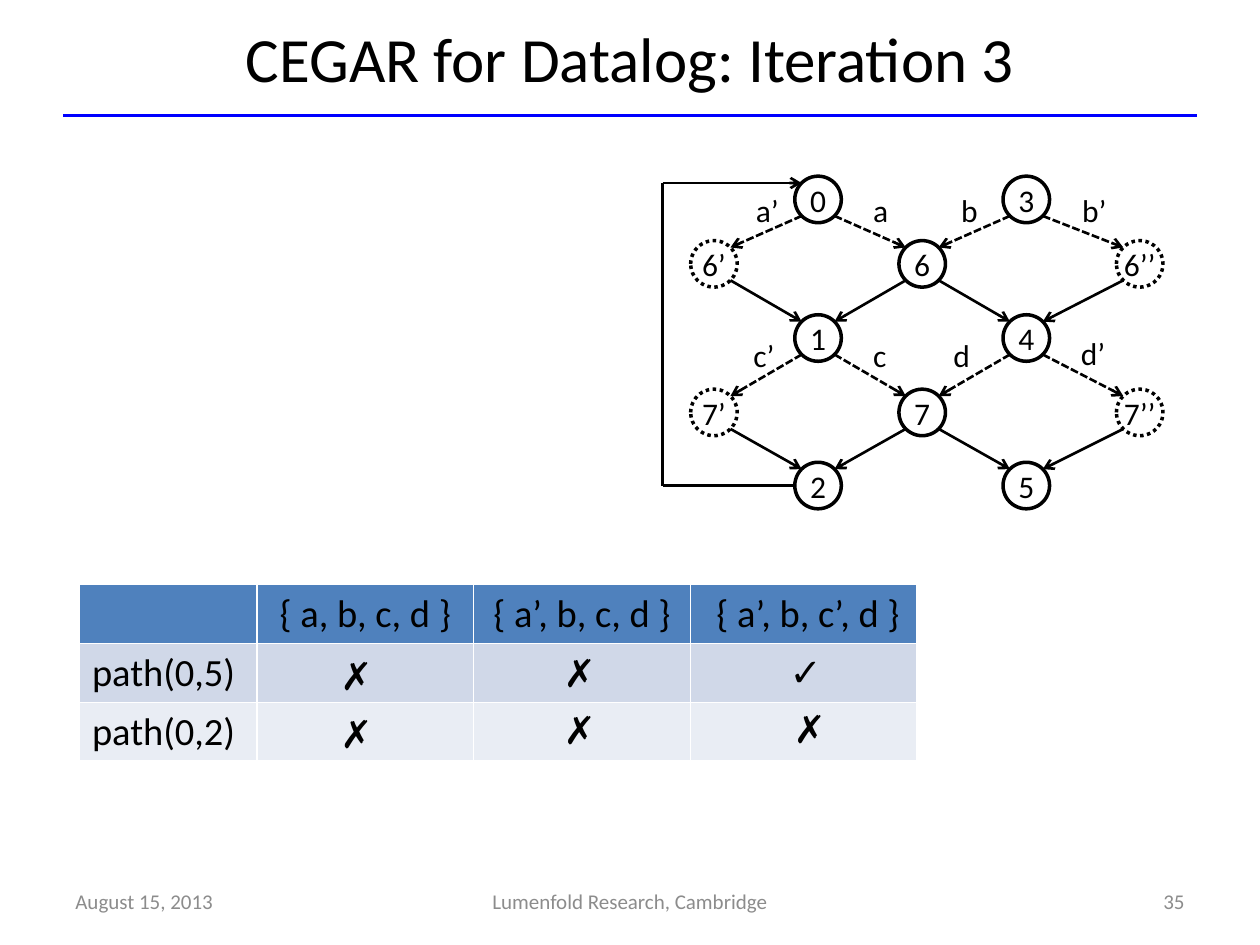
"""Build the slide on CEGAR for Datalog: a graph, a result table and a footer."""
from typing import NamedTuple

import pptx
import pptx.dml.color
import pptx.enum.dml
import pptx.enum.shapes
import pptx.enum.text
import pptx.oxml
import pptx.oxml.ns
import pptx.util

Pt = pptx.util.Pt
Align = pptx.enum.text.PP_ALIGN
Anchor = pptx.enum.text.MSO_ANCHOR
Dash = pptx.enum.dml.MSO_LINE
Shape = pptx.enum.shapes.MSO_SHAPE

BLACK, WHITE, GREY, BLUE = "000000", "FFFFFF", "8C8C8C", "0000FF"
COLS = (408, 467.5, 527, 586.5, 651.3)
ROWS = (114, 150.8, 193.2, 235.7, 277.5)
DIAMETER = 26.6
CORNER = DIAMETER / 2 * 0.707


class Node(NamedTuple):
    name: str
    col: int
    row: int
    dotted: bool = False

    @property
    def x(self) -> float:
        return COLS[self.col]

    @property
    def y(self) -> float:
        return ROWS[self.row]


class Label(NamedTuple):
    text: str
    left: float
    top: float
    width: float
    height: float = 26.6


class Mark(NamedTuple):
    text: str
    left: float
    top: float
    wrap: bool = True


NODES = (
    Node("0", 1, 0), Node("3", 3, 0),
    Node("6’", 0, 1, True), Node("6", 2, 1), Node("6’’", 4, 1, True),
    Node("1", 1, 2), Node("4", 3, 2),
    Node("7’", 0, 3, True), Node("7", 2, 3), Node("7’’", 4, 3, True),
    Node("2", 1, 4), Node("5", 3, 4),
)
LABELS = (
    Label("a’", 424.8, 105.8, 40.3), Label("a", 491.8, 105.8, 32.4),
    Label("b", 542.2, 105.8, 31), Label("b’", 611.3, 105.8, 32.4),
    Label("c’", 423.4, 188.6, 35.3), Label("c", 491.8, 188.6, 32.4),
    Label("d", 537.8, 188.6, 31), Label("d’", 610.6, 187.2, 32.4),
)
MARKS = (
    Mark("✗", 184.3, 367.2), Mark("✗", 184.3, 400.3),
    Mark("✗", 311.8, 365.8), Mark("✗", 311.8, 398.2),
    Mark("✓", 444.2, 366.5, False), Mark("✗", 446.4, 399.6, False),
)
TABLE = (
    ("4F81BD", ("", "{ a, b, c, d }", "{ a’, b, c, d }", " { a’, b, c’, d }")),
    ("D0D8E8", ("path(0,5)", "", "", "")),
    ("E9EDF4", ("path(0,2)", "", "", "")),
)
TABLE_WIDTHS = (101.5, 123.8, 123.8, 129.6)


def rgb(value: str) -> pptx.dml.color.RGBColor:
    return pptx.dml.color.RGBColor.from_string(value)


def write(tf, text: str, *, size: float = 18, color: str = BLACK,
          font: str = "Calibri", align=Align.LEFT) -> None:
    p = tf.paragraphs[0]
    p.alignment = align
    r = p.add_run()
    r.text = text
    r.font.size, r.font.name, r.font.bold = Pt(size), font, False
    r.font.color.rgb = rgb(color)


def add_text(s, text: str, left: float, top: float, width: float, height: float, *,
             anchor=Anchor.TOP, wrap: bool = True, **style) -> None:
    tf = s.shapes.add_textbox(Pt(left), Pt(top), Pt(width), Pt(height)).text_frame
    tf.word_wrap, tf.vertical_anchor = wrap, anchor
    write(tf, text, **style)


def add_line(s, start: tuple, end: tuple, *, color: str = BLACK, width: float = 1.5,
             dashed: bool = False, arrow: bool = False) -> None:
    points = [Pt(v) for v in (*start, *end)]
    sp = s.shapes.add_connector(pptx.enum.shapes.MSO_CONNECTOR.STRAIGHT, *points)
    sp.line.color.rgb, sp.line.width = rgb(color), Pt(width)
    if dashed:
        sp.line.dash_style = Dash.SQUARE_DOT
    if arrow:
        tail = pptx.oxml.parse_xml(f'<a:tailEnd {pptx.oxml.ns.nsdecls("a")} type="arrow"/>')
        sp.line._get_or_add_ln().append(tail)
    sp._element.spPr.append(pptx.oxml.parse_xml(f'<a:effectLst {pptx.oxml.ns.nsdecls("a")}/>'))


def add_node(s, node: Node) -> None:
    r = DIAMETER / 2
    sp = s.shapes.add_shape(Shape.OVAL, Pt(node.x - r), Pt(node.y - r), Pt(DIAMETER), Pt(DIAMETER))
    sp.shadow.inherit = False
    sp.fill.solid()
    sp.fill.fore_color.rgb = rgb(WHITE)
    sp.line.color.rgb, sp.line.width = rgb(BLACK), Pt(2)
    if node.dotted:
        sp.line.dash_style = Dash.ROUND_DOT
    tf = sp.text_frame
    tf.margin_left = tf.margin_right = tf.margin_top = tf.margin_bottom = 0
    tf.vertical_anchor = Anchor.MIDDLE
    write(tf, node.name, align=Align.CENTER)


def add_edge(s, a: Node, b: Node) -> None:
    dx = CORNER if b.x > a.x else -CORNER
    add_line(s, (a.x + dx, a.y + CORNER), (b.x - dx, b.y - CORNER),
             dashed=a.row % 2 == 0, arrow=True)


def add_graph(s) -> None:
    for node in NODES:
        add_node(s, node)
    for a in NODES:
        for b in NODES:
            if b.row == a.row + 1 and abs(b.col - a.col) == 1:
                add_edge(s, a, b)
    for label in LABELS:
        add_text(s, *label)
    left, top, bottom = 378.7, ROWS[0] - CORNER, ROWS[-1]
    add_line(s, (COLS[1] - DIAMETER / 2, bottom), (left, bottom))
    add_line(s, (left, bottom), (left, top))
    add_line(s, (left, top), (COLS[1] - CORNER, top), arrow=True)


def add_results(s) -> None:
    table = s.shapes.add_table(len(TABLE), len(TABLE_WIDTHS), Pt(45.4), Pt(334.1),
                               Pt(sum(TABLE_WIDTHS)), Pt(100.5)).table
    for column, width in zip(table.columns, TABLE_WIDTHS):
        column.width = Pt(width)
    for i, (fill, texts) in enumerate(TABLE):
        for j, text in enumerate(texts):
            cell = table.cell(i, j)
            cell.fill.solid()
            cell.fill.fore_color.rgb = rgb(fill)
            if text:
                write(cell.text_frame, text, size=22, align=Align.LEFT if i else Align.CENTER)
    for mark in MARKS:
        width, height = (38.9, 36.7) if mark.wrap else (29, 33.8)
        add_text(s, mark.text, mark.left, mark.top, width, height, size=22, font="Arial",
                 wrap=mark.wrap, anchor=Anchor.MIDDLE if mark.wrap else Anchor.TOP,
                 align=Align.CENTER if mark.wrap else Align.LEFT)


def main() -> None:
    prs = pptx.Presentation()
    prs.slide_width, prs.slide_height = Pt(720), Pt(540)
    s = prs.slides.add_slide(prs.slide_layouts[6])
    add_line(s, (36, 66), (684, 66), color=BLUE, width=2.25)
    add_text(s, "CEGAR for Datalog: Iteration 3", 36, 0, 648, 66, size=36,
             anchor=Anchor.MIDDLE, align=Align.CENTER)
    for text, left, width, align in (
        ("August 15, 2013", 36, 168, Align.LEFT),
        ("Lumenfold Research, Cambridge", 246, 228, Align.CENTER),
        ("35", 516, 168, Align.RIGHT),
    ):
        add_text(s, text, left, 500.5, width, 28.8, size=12, color=GREY,
                 anchor=Anchor.MIDDLE, align=align)
    add_graph(s)
    add_results(s)
    prs.save("out.pptx")


if __name__ == "__main__":
    main()
